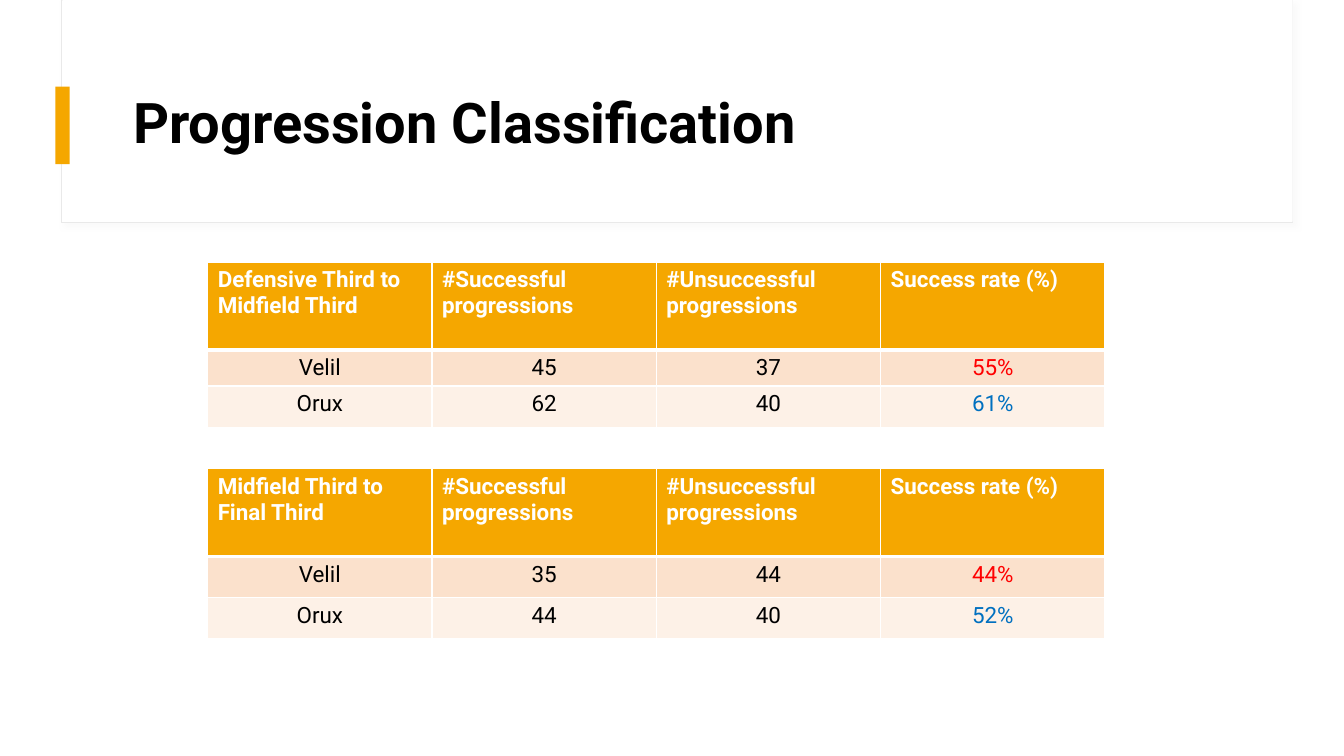
from lxml import etree
from pptx import Presentation
from pptx import util as u
from pptx.dml.color import RGBColor
from pptx.enum import shapes, text
from pptx.oxml import ns

WHITE = RGBColor(0xFF, 0xFF, 0xFF)
BLACK = RGBColor(0, 0, 0)
ORANGE = RGBColor(0xF5, 0xA7, 0x00)
PEACH = RGBColor(0xFB, 0xE1, 0xCC)
CREAM = RGBColor(0xFD, 0xF1, 0xE7)
GREY = RGBColor(0xE9, 0xE9, 0xE9)
SHADOW = RGBColor(0xD9, 0xD9, 0xD9)
RED = RGBColor(0xFF, 0, 0)
BLUE = RGBColor(0x00, 0x70, 0xC0)


def inches(*lengths):
    return [u.Inches(length) for length in lengths]


class ProgressionSlide:
    font_name = "Roboto"
    row_fills = (ORANGE, PEACH, CREAM)
    rate_colours = (WHITE, RED, BLUE)

    def __init__(self, presentation):
        self.slide = presentation.slides.add_slide(presentation.slide_layouts[5])

    def style(self, paragraph, colour, size, bold, align):
        paragraph.alignment = align
        look = {"name": self.font_name, "size": u.Pt(size), "bold": bold}
        for run in paragraph.runs:
            for key, value in look.items():
                setattr(run.font, key, value)
            run.font.color.rgb = colour

    def title(self, wording, box):
        heading = self.slide.shapes.title
        for key, value in zip(("left", "top", "width", "height"), inches(*box)):
            setattr(heading, key, value)
        frame = heading.text_frame
        frame.text = wording
        frame.word_wrap = True
        frame.vertical_anchor = text.MSO_ANCHOR.MIDDLE
        frame.paragraphs[0].line_spacing = 0.9
        self.style(frame.paragraphs[0], BLACK, 40, True, text.PP_ALIGN.LEFT)
        # Bring the heading in front of the panel
        self.slide.shapes._spTree.append(heading._element)

    def block(self, box, fill, outline=None):
        block = self.slide.shapes.add_shape(shapes.MSO_SHAPE.RECTANGLE, *inches(*box))
        block.shadow.inherit = False
        block.fill.solid()
        block.fill.fore_color.rgb = fill
        if outline is None:
            block.line.fill.background()
        else:
            block.line.color.rgb = outline
            block.line.width = u.Pt(0.75)
        return block

    def soft_shadow(self, block):
        effects = block._element.spPr.find(ns.qn("a:effectLst"))
        shadow = etree.SubElement(
            effects, ns.qn("a:outerShdw"), blurRad=str(u.Pt(4)),
            dist=str(u.Pt(3)), dir="2700000", algn="tl", rotWithShape="0")
        colour = etree.SubElement(shadow, ns.qn("a:srgbClr"), val=str(SHADOW))
        etree.SubElement(colour, ns.qn("a:alpha"), val="12000")

    def borders(self, cell, top, bottom):
        properties = cell._tc.get_or_add_tcPr()
        sides = {"a:lnL": 1, "a:lnR": 1, "a:lnT": top, "a:lnB": bottom}
        for place, (side, width) in enumerate(sides.items()):
            line = etree.Element(ns.qn(side), w=str(u.Pt(width)))
            fill = etree.SubElement(line, ns.qn("a:solidFill"))
            etree.SubElement(fill, ns.qn("a:srgbClr"), val=str(WHITE))
            properties.insert(place, line)

    def table(self, top, heights, rows):
        box = inches(2.06, top, 8.9, sum(heights))
        table = self.slide.shapes.add_table(len(rows), len(rows[0]), *box).table
        for r, (height, values) in enumerate(zip(heights, rows)):
            table.rows[r].height = u.Inches(height)
            header = r == 0
            align = text.PP_ALIGN.LEFT if header else text.PP_ALIGN.CENTER
            for c, value in enumerate(values):
                cell = table.cell(r, c)
                cell.text = value
                cell.fill.solid()
                cell.fill.fore_color.rgb = self.row_fills[r]
                self.borders(cell, 3 if r == 1 else 1, 3 if header else 1)
                is_rate = c == len(values) - 1
                colour = self.rate_colours[r] if is_rate else WHITE if header else BLACK
                for paragraph in cell.text_frame.paragraphs:
                    self.style(paragraph, colour, 16, header, align)


def main():
    presentation = Presentation()
    presentation.slide_width, presentation.slide_height = inches(13.33, 7.5)
    slide = ProgressionSlide(presentation)

    # Heading panel with accent bar
    panel = slide.block((0.61, 0, 12.21, 2.21), WHITE, GREY)
    slide.soft_shadow(panel)
    slide.block((0.62, 0, 12.2, 2.2), WHITE)
    slide.block((0.55, 0.86, 0.14, 0.77), ORANGE)
    slide.title("Progression Classification", (1.22, 0.6, 11.12, 1.29))

    # Progressions out of defence
    unsuccessful = "#Unsuccessful\nprogressions"
    rate = "Success rate (%)"
    home, away = "Velil", "Orux"
    slide.table(2.6, (0.87, 0.36, 0.41), (
        ("Defensive Third to Midfield Third", "#Successful progressions", unsuccessful, rate),
        (home, "45", "37", "55%"),
        (away, "62", "40", "61%"),
    ))

    # Progressions into attack
    slide.table(4.65, (0.87, 0.41, 0.41), (
        ("Midfield Third to Final Third", "#Successful\nprogressions", unsuccessful, rate),
        (home, "35", "44", "44%"),
        (away, "44", "40", "52%"),
    ))

    presentation.save("out.pptx")


if __name__ == "__main__":
    main()
